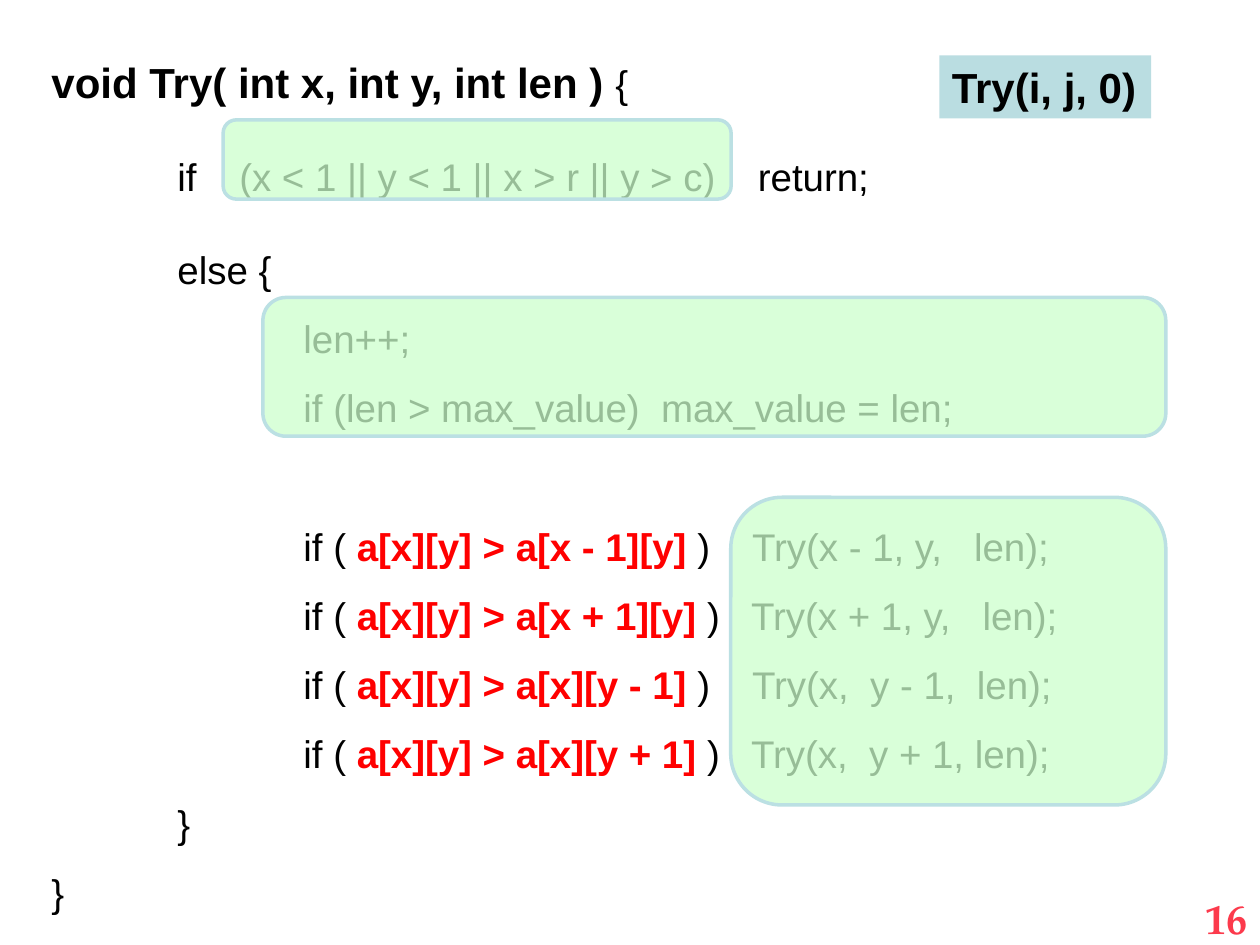
from lxml import etree
from pptx import Presentation
from pptx.dml.color import RGBColor
from pptx.enum import shapes, text
from pptx.oxml import ns
from pptx.util import Pt

BLACK, RED, PINK = "000000", "FF0000", "FC3A4C"
MINT, BLUE, TEAL = "CCFFCC", "BBE0E3", "BADDE1"
WIDE, MID = 2.0, 1.5  # line spacing
GAP = 39.6            # one empty code line
TAB = 72

HEAD = [("void Try( int x, int y, int len ) ", 24, BLACK, True),
        ("{", 22, BLACK, False)]
START = ["\tif    (x < 1 || y < 1 || x > r || y > c)    return;", "\telse {"]
COUNT = ["\t\tlen++;", "\t\tif (len > max_value)  max_value = len;"]
MOVES = [
    ("a[x][y] > a[x - 1][y] ", ")    Try(x - 1, y,   len);"),
    ("a[x][y] > a[x + 1][y] ", ")   Try(x + 1, y,   len);"),
    ("a[x][y] > a[x][y - 1] ", ")    Try(x,  y - 1,  len);"),
    ("a[x][y] > a[x][y + 1] ", ")   Try(x,  y + 1, len);"),
]
CLOSE = ["\t}", "}"]
COVERS = [  # left, top, width, height
    (127.5, 68.5, 290.3, 45.3),
    (150.2, 170, 516, 79.3),
    (417.6, 284.2, 248.6, 175.8),
]


def color(code):
    return RGBColor.from_string(code)


def plain(words):
    return [(words, 22, BLACK, False)]


def write(para, runs, font="Arial"):
    for words, size, code, bold in runs:
        run = para.add_run()
        run.text = words
        run.font.name = font
        run.font.size = Pt(size)
        run.font.bold = bold
        run.font.color.rgb = color(code)


def add_box(slide, *place):
    frame = slide.shapes.add_textbox(*map(Pt, place)).text_frame
    frame.word_wrap = True
    return frame


def add_code(slide):
    lines = [(HEAD, WIDE, 0)]
    lines += [(plain(s), WIDE, 0) for s in START]
    lines += [(plain(s), MID, 0) for s in COUNT]
    for i, (test, call) in enumerate(MOVES):
        runs = plain("\t\tif ( ") + [(test, 22, RED, True)] + plain(call)
        lines.append((runs, MID, 0 if i else GAP))
    lines += [(plain(s), MID, 0) for s in CLOSE]

    frame = add_box(slide, 22.3, 0, 697.7, 527)
    for i, (runs, space, gap) in enumerate(lines):
        para = frame.add_paragraph() if i else frame.paragraphs[0]
        para.line_spacing = space
        para.space_before = Pt(gap)
        para._p.get_or_add_pPr().set("defTabSz", str(Pt(TAB)))
        write(para, runs)


def add_shape(slide, kind, place, fill):
    shape = slide.shapes.add_shape(kind, *map(Pt, place))
    shape.shadow.inherit = False
    shape.fill.solid()
    shape.fill.fore_color.rgb = color(fill)
    return shape


def add_cover(slide, place):
    """Add a see-through panel over part of the code."""
    cover = add_shape(slide, shapes.MSO_SHAPE.ROUNDED_RECTANGLE, place, MINT)
    cover.line.color.rgb = color(BLUE)
    cover.line.width = Pt(2)
    tone = cover.fill._xPr.find(".//" + ns.qn("a:srgbClr"))
    etree.SubElement(tone, ns.qn("a:alpha"), val="74000")


def add_call(slide):
    box = add_shape(slide, shapes.MSO_SHAPE.RECTANGLE,
                    (536.8, 31.7, 121, 36), TEAL)
    box.line.fill.background()
    frame = box.text_frame
    frame.word_wrap = False
    frame.vertical_anchor = text.MSO_ANCHOR.TOP
    para = frame.paragraphs[0]
    para.alignment = text.PP_ALIGN.LEFT
    write(para, [("Try(i, j, 0)", 24, BLACK, True)])


def main():
    deck = Presentation()
    deck.slide_width, deck.slide_height = Pt(720), Pt(540)
    slide = deck.slides.add_slide(deck.slide_layouts[6])

    para = add_box(slide, 552, 506.5, 168, 32).paragraphs[0]
    para.alignment = text.PP_ALIGN.RIGHT
    write(para, [("16", 24, PINK, True)], "TeX Gyre Pagella")

    add_code(slide)
    for place in COVERS:
        add_cover(slide, place)
    add_call(slide)
    deck.save("out.pptx")


if __name__ == "__main__":
    main()
